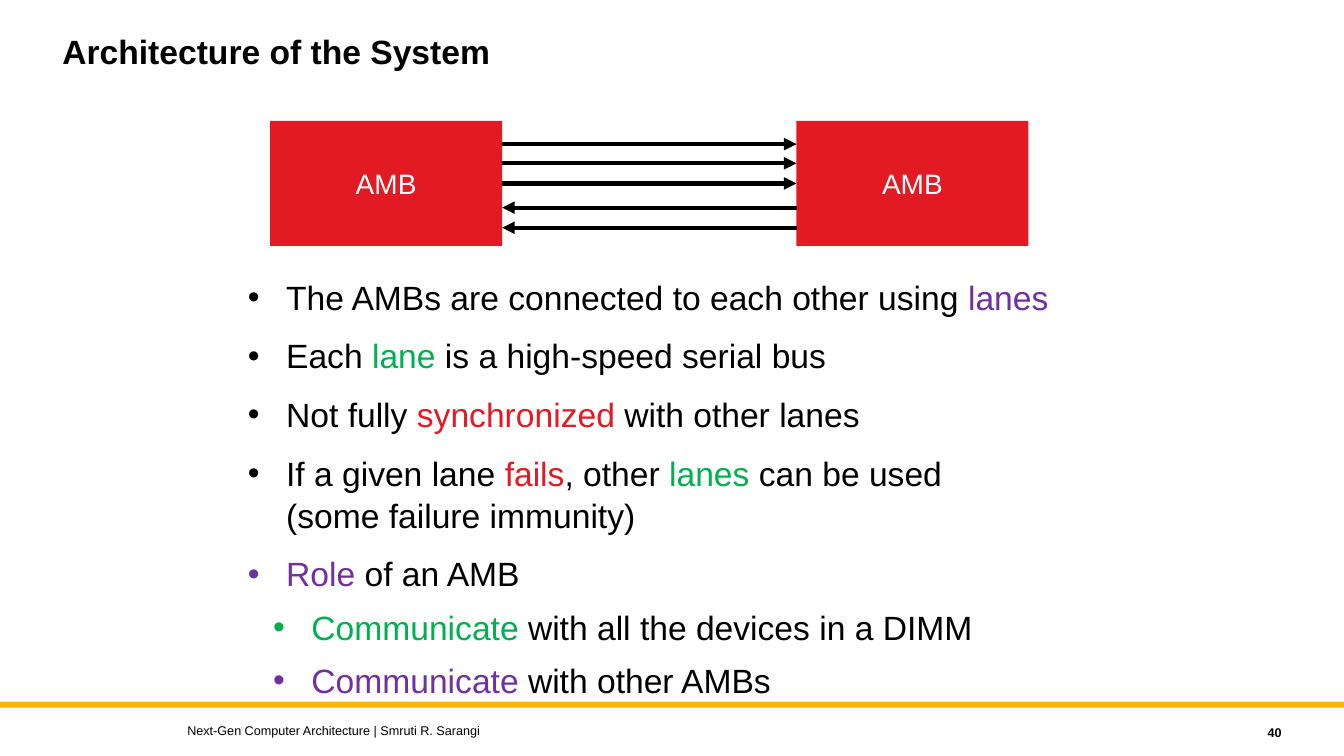
from dataclasses import dataclass
from lxml.etree import SubElement
from pptx import Presentation
from pptx.dml.color import RGBColor
from pptx.enum.shapes import MSO_CONNECTOR, MSO_SHAPE
from pptx.enum.text import MSO_ANCHOR, PP_ALIGN
from pptx.oxml.ns import qn
from pptx.slide import Slide
from pptx.util import Emu, Pt

SCALE = 9144  # EMU per px, 100 px to the inch

BLACK = RGBColor(0x00, 0x00, 0x00)
WHITE = RGBColor(0xFF, 0xFF, 0xFF)
RED = RGBColor(0xE2, 0x1A, 0x23)
GREEN = RGBColor(0x00, 0xB0, 0x50)
PURPLE = RGBColor(0x70, 0x30, 0xA0)
GOLD = RGBColor(0xFF, 0xB6, 0x00)


@dataclass
class Box:
    left: int
    top: int
    width: int
    height: int


@dataclass
class Label:
    text: str
    box: Box
    font: dict
    para: dict
    frame: dict


@dataclass
class Bullet:
    runs: list[tuple[str, RGBColor]]
    level: int = 0


@dataclass
class Lane:
    start: int
    end: int
    top: int


def px(count: int) -> Emu:
    return Emu(count * SCALE)


def place(box: Box) -> list[Emu]:
    return [px(n) for n in (box.left, box.top, box.width, box.height)]


def apply(target: object, values: dict) -> None:
    for key, value in values.items():
        setattr(target, key, value)


def add_run(para, text: str, color: RGBColor, font: dict) -> None:
    run = para.add_run()
    run.text = text
    apply(run.font, {"name": "Arial", **font})
    run.font.color.rgb = color


def add_rect(slide: Slide, box: Box, color: RGBColor):
    rect = slide.shapes.add_shape(MSO_SHAPE.RECTANGLE, *place(box))
    rect.shadow.inherit = False
    rect.fill.solid()
    rect.fill.fore_color.rgb = color
    rect.line.fill.background()
    return rect


def add_label(slide: Slide, label: Label) -> None:
    frame = slide.shapes.add_textbox(*place(label.box)).text_frame
    apply(frame, {"word_wrap": True, **label.frame})
    para = frame.paragraphs[0]
    apply(para, label.para)
    add_run(para, label.text, BLACK, label.font)


def add_amb(slide: Slide, box: Box) -> None:
    frame = add_rect(slide, box, RED).text_frame
    frame.vertical_anchor = MSO_ANCHOR.MIDDLE
    para = frame.paragraphs[0]
    para.alignment = PP_ALIGN.CENTER
    add_run(para, "AMB", WHITE, {"size": Pt(20)})


def add_lane(slide: Slide, lane: Lane) -> None:
    line = slide.shapes.add_connector(
        MSO_CONNECTOR.STRAIGHT, px(lane.start), px(lane.top), px(lane.end), px(lane.top)
    )
    line.line.color.rgb = BLACK
    line.line.width = Pt(3)
    SubElement(line.line._get_or_add_ln(), qn("a:tailEnd"), type="triangle")
    SubElement(line._element.spPr, qn("a:effectLst"))


def add_bullets(slide: Slide, box: Box, bullets: list[Bullet]) -> None:
    frame = slide.shapes.add_textbox(*place(box)).text_frame
    frame.word_wrap = True
    for index, bullet in enumerate(bullets):
        para = frame.add_paragraph() if index else frame.paragraphs[0]
        props = para._p.get_or_add_pPr()
        props.set("marL", str(px(38 + 25 * bullet.level)))
        props.set("indent", str(px(-38)))
        SubElement(props, qn("a:buFont"), typeface="Arial")
        SubElement(props, qn("a:buChar"), char="•")
        gap = (8 if bullet.level else 12) if index else 0
        apply(para, {"level": bullet.level, "line_spacing": 1.04, "space_before": Pt(gap)})
        for text, color in bullet.runs:
            for part, piece in enumerate(text.split("\n")):
                if part:
                    para.add_line_break()
                add_run(para, piece, color, {"size": Pt(24)})


SMALL = {"size": Pt(9)}
MIDDLE = {"vertical_anchor": MSO_ANCHOR.MIDDLE}
LABELS = [
    Label("Architecture of the System", Box(52, 30, 1000, 90),
          {"size": Pt(24), "bold": True}, {"line_spacing": 0.9}, {}),
    Label("Next-Gen Computer Architecture | Smruti R. Sarangi",
          Box(176, 712, 800, 25), SMALL, {}, MIDDLE),
    Label("40", Box(1141, 714, 140, 25), {**SMALL, "bold": True},
          {"alignment": PP_ALIGN.RIGHT}, MIDDLE),
]

AMBS = [Box(left, 120, 230, 124) for left in (268, 790)]
NEAR, FAR = AMBS[0].left + AMBS[0].width, AMBS[1].left
LANES = [Lane(NEAR, FAR, top) for top in (143, 162, 182)]
LANES += [Lane(FAR, NEAR, top) for top in (206, 226)]

BULLETS = [
    Bullet([("The AMBs are connected to each other using ", BLACK), ("lanes", PURPLE)]),
    Bullet([("Each ", BLACK), ("lane", GREEN), (" is a high-speed serial bus", BLACK)]),
    Bullet([("Not fully ", BLACK), ("synchronized", RED), (" with other lanes", BLACK)]),
    Bullet([("If a given lane ", BLACK), ("fails", RED), (", other ", BLACK),
            ("lanes", GREEN), (" can be used \n(some failure immunity)", BLACK)]),
    Bullet([("Role", PURPLE), (" of an AMB", BLACK)]),
    Bullet([("Communicate", GREEN), (" with all the devices in a DIMM", BLACK)], 1),
    Bullet([("Communicate", PURPLE), (" with other AMBs", BLACK)], 1),
]


def main() -> None:
    deck = Presentation()
    apply(deck, {"slide_width": px(1333), "slide_height": px(750)})
    slide = deck.slides.add_slide(deck.slide_layouts[6])

    # Footer bar, title and footer text
    add_rect(slide, Box(0, 696, 1333, 6), GOLD)
    for label in LABELS:
        add_label(slide, label)

    # Bullet list
    add_bullets(slide, Box(236, 268, 862, 424), BULLETS)

    # Two AMBs joined by lanes
    for box in AMBS:
        add_amb(slide, box)
    for lane in LANES:
        add_lane(slide, lane)

    deck.save("out.pptx")


if __name__ == "__main__":
    main()
